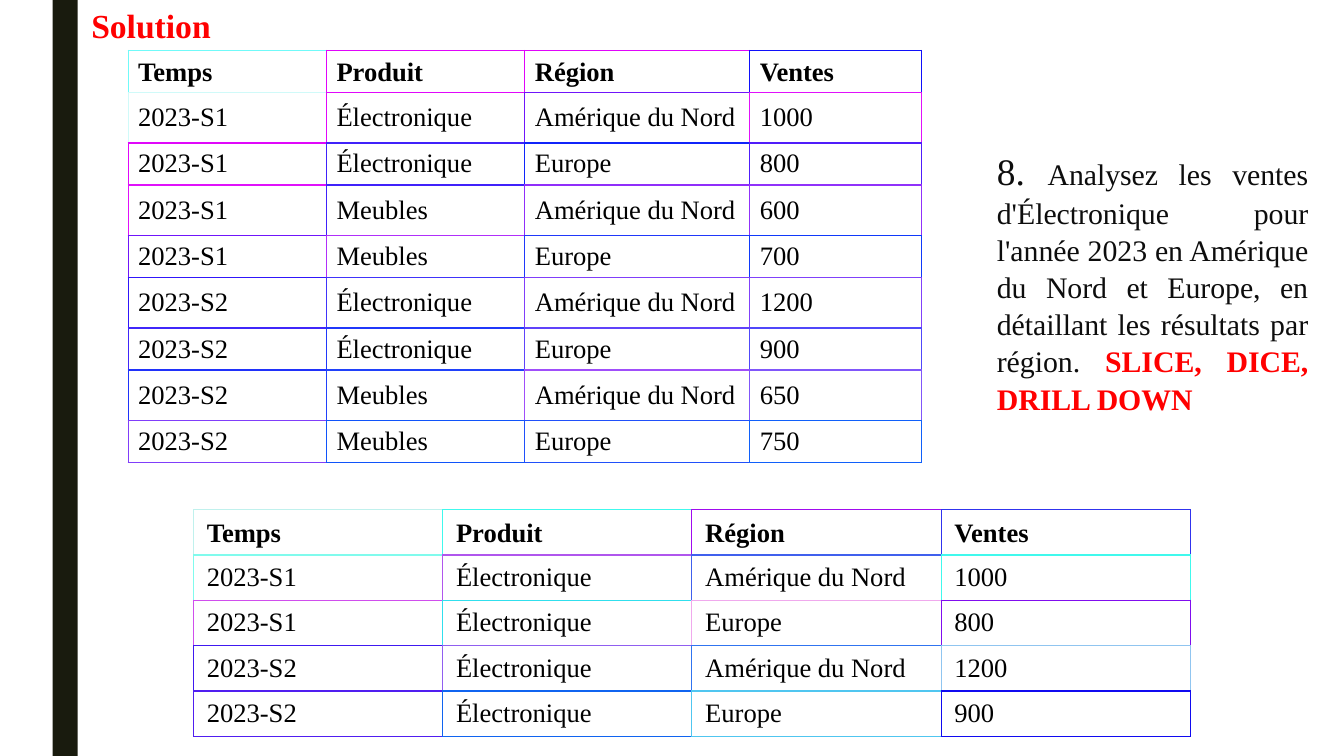
from pptx import Presentation
from pptx.dml.color import RGBColor
from pptx.enum.shapes import MSO_SHAPE
from pptx.enum.text import MSO_ANCHOR, MSO_AUTO_SIZE, PP_ALIGN
from pptx.oxml.ns import qn
from pptx.util import Pt
from lxml.etree import SubElement

FONT = "Times New Roman"
RED = RGBColor(0xFF, 0x00, 0x00)
BLACK = RGBColor(0x00, 0x00, 0x00)
WHITE = RGBColor(0xFF, 0xFF, 0xFF)
BAR = RGBColor(0x19, 0x1B, 0x0E)
INK = RGBColor(0x0D, 0x0D, 0x0D)

# Content
TITLE = "Solution"
QUESTION = [  # text, size, colour, bold
    ("8. ", 26.7, INK, False),
    ("Analysez les ventes d'Électronique pour l'année 2023 en Amérique du Nord "
     "et Europe, en détaillant les résultats par région. ", 21.3, INK, False),
    ("SLICE, DICE, DRILL DOWN", 21.3, RED, True),
]
HEADER = ("Temps", "Produit", "Région", "Ventes")
SALES = [
    ("2023-S1", "Électronique", "Amérique du Nord", "1000"),
    ("2023-S1", "Électronique", "Europe", "800"),
    ("2023-S1", "Meubles", "Amérique du Nord", "600"),
    ("2023-S1", "Meubles", "Europe", "700"),
    ("2023-S2", "Électronique", "Amérique du Nord", "1200"),
    ("2023-S2", "Électronique", "Europe", "900"),
    ("2023-S2", "Meubles", "Amérique du Nord", "650"),
    ("2023-S2", "Meubles", "Europe", "750"),
]
ELECTRONICS = [row for row in SALES if row[1] == "Électronique"]

# Border colour of each cell's left and top edges
SALES_BORDERS = [
    ("70FAF9", "E005FA", "E005FA", "100FFA"),
    ("D0FAF9", "E008FA", "7015FA", "E011FA"),
    ("E008FA", "4021FA", "1024FA", "501DFA"),
    ("E011FA", "4021FA", "902EFA", "9031FA"),
    ("7015FA", "B02FFA", "2038FA", "1039FA"),
    ("3016FA", "4033FA", "803EFA", "8041FA"),
    ("4027FA", "2038FA", "6043FA", "5047FA"),
    ("2032FA", "2041FA", "A04EFA", "8056FA"),
    ("803EFA", "1054FA", "2050FA", "1060FA"),
]
ELECTRONICS_BORDERS = [
    ("C0F1ED", "40F9ED", "A00BEE", "3033EE"),
    ("80FBED", "B056ED", "4060ED", "40F9ED"),
    ("D04EED", "30DFED", "F0A9ED", "800DEE"),
    ("4019F0", "905FF0", "3074F0", "90C5F0"),
    ("501EF0", "1064F0", "50C6F0", "100AF0"),
]


def set_border(cell, side, color, width):
    line = SubElement(cell._tc.get_or_add_tcPr(), qn(f"a:ln{side}"), w=str(Pt(width)))
    fill = SubElement(line, qn("a:solidFill"))
    SubElement(fill, qn("a:srgbClr"), val=color)


def add_sales_table(slide, left, top, widths, heights, rows, borders, inset_x, inset_y):
    rows = [HEADER] + rows
    last_row, last_column = len(rows) - 1, len(HEADER) - 1
    table = slide.shapes.add_table(len(rows), len(HEADER), Pt(left), Pt(top),
                                   Pt(sum(widths)), Pt(sum(heights))).table
    table.horz_banding = False
    for column, width in zip(table.columns, widths):
        column.width = Pt(width)
    for r, row in enumerate(rows):
        table.rows[r].height = Pt(heights[r])
        for c, text in enumerate(row):
            cell = table.cell(r, c)
            cell.margin_left = cell.margin_right = Pt(inset_x)
            cell.margin_top = cell.margin_bottom = Pt(inset_y)
            cell.vertical_anchor = MSO_ANCHOR.MIDDLE if r else MSO_ANCHOR.BOTTOM
            # Right and bottom edges take the colour of the next cell
            set_border(cell, "L", borders[r][c], 0.75)
            set_border(cell, "R", borders[r][min(c + 1, last_column)], 0.75)
            set_border(cell, "T", borders[r][c], 1 if r else 0.75)
            set_border(cell, "B", borders[min(r + 1, last_row)][c],
                       1 if r < last_row else 0.75)
            cell.fill.solid()
            cell.fill.fore_color.rgb = WHITE
            cell.text = text
            font = cell.text_frame.paragraphs[0].font
            font.name, font.size, font.bold = FONT, Pt(19), r == 0
            font.color.rgb = BLACK


presentation = Presentation()
presentation.slide_width, presentation.slide_height = Pt(960), Pt(540)
slide = presentation.slides.add_slide(presentation.slide_layouts[5])

# Side bar
bar = slide.shapes.add_shape(MSO_SHAPE.RECTANGLE, Pt(37.5), Pt(0), Pt(18), Pt(540))
bar.shadow.inherit = False
bar.fill.solid()
bar.fill.fore_color.rgb = BAR
bar.line.fill.background()

# Title
title = slide.shapes.title
title.left, title.top, title.width, title.height = Pt(58), Pt(0), Pt(106.5), Pt(36)
frame = title.text_frame
frame.text = TITLE
frame.word_wrap = False
frame.auto_size = MSO_AUTO_SIZE.SHAPE_TO_FIT_TEXT
frame.vertical_anchor = MSO_ANCHOR.TOP
paragraph = frame.paragraphs[0]
paragraph.alignment = PP_ALIGN.LEFT
font = paragraph.font
font.name, font.size, font.bold = FONT, Pt(24), True
font.color.rgb = RED

# All sales, with rows of alternating height
add_sales_table(slide, 91.5, 36, (141.7, 141.7, 160.7, 123),
                [36.1 if r % 2 else 29.8 for r in range(len(SALES) + 1)],
                SALES, SALES_BORDERS, 7.2, 3.6)

# Question
box = slide.shapes.add_textbox(Pt(705), Pt(101), Pt(236.7), Pt(246))
frame = box.text_frame
frame.word_wrap = True
frame.auto_size = MSO_AUTO_SIZE.SHAPE_TO_FIT_TEXT
paragraph = frame.paragraphs[0]
paragraph.alignment = PP_ALIGN.JUSTIFY
paragraph.line_spacing = 1.04
paragraph.font.name = FONT
for text, size, color, bold in QUESTION:
    run = paragraph.add_run()
    run.text = text
    run.font.size, run.font.bold = Pt(size), bold
    run.font.color.rgb = color

# Electronics sales
add_sales_table(slide, 138.2, 364, [178] * 4, [32.4] * 5,
                ELECTRONICS, ELECTRONICS_BORDERS, 9.6, 4.8)

presentation.save("out.pptx")
